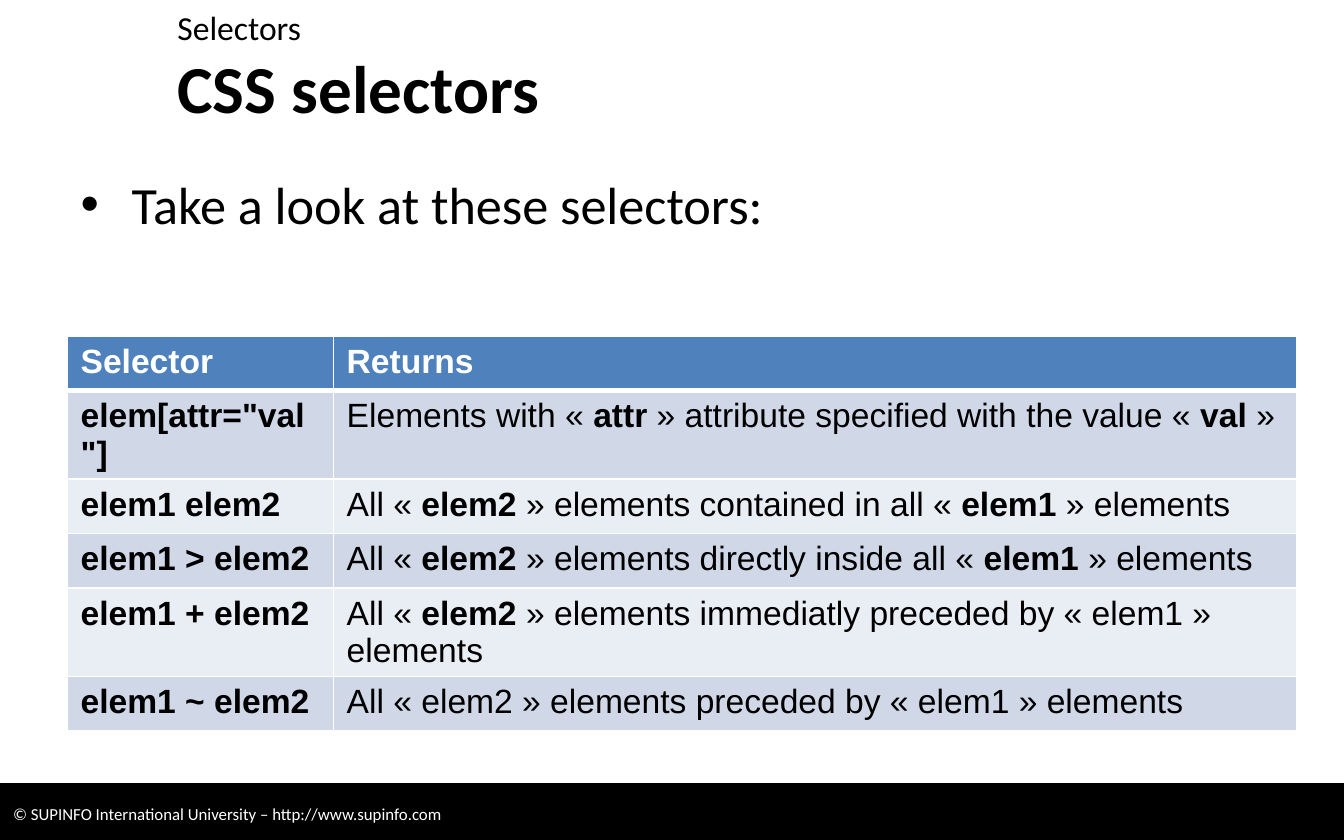
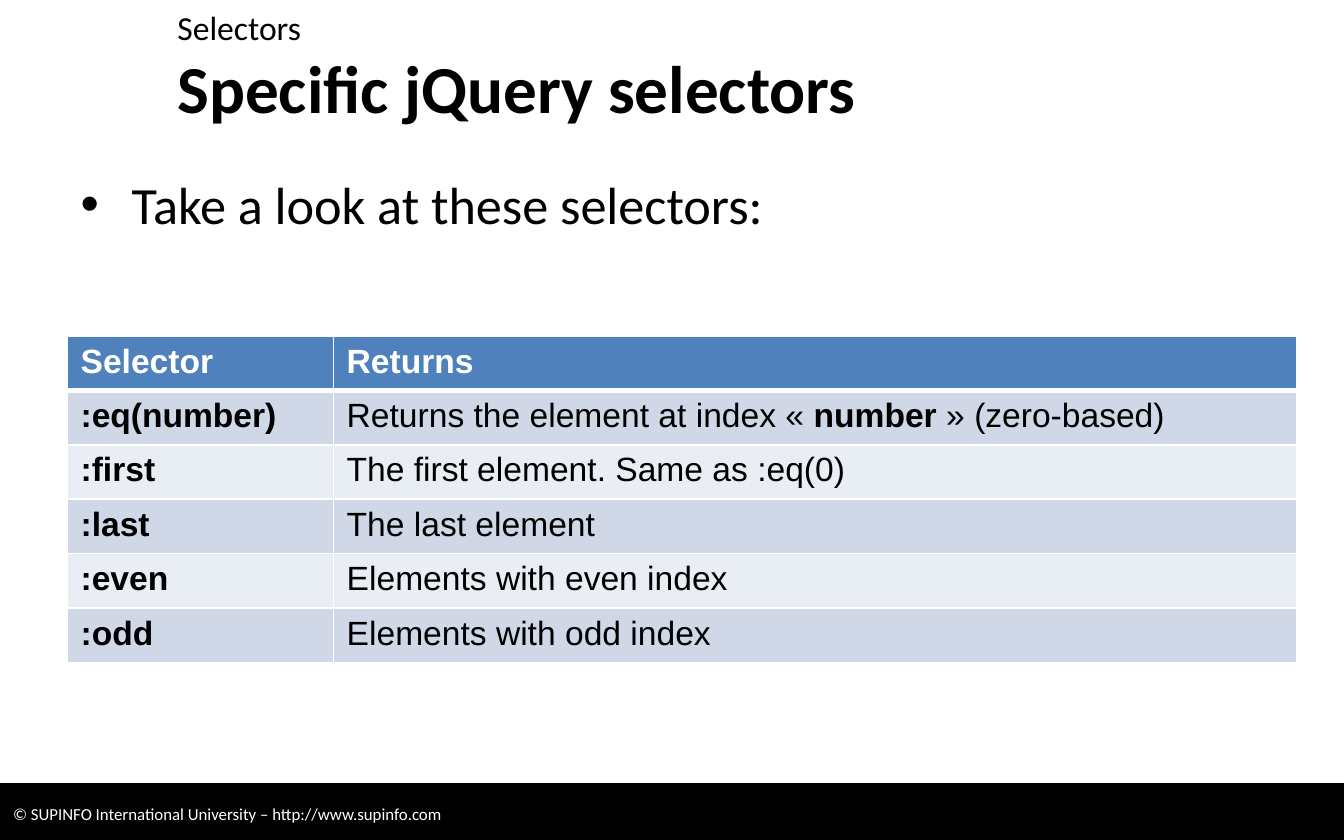
"""Build two slides that list CSS and jQuery selectors in tables."""
from dataclasses import dataclass

from lxml import etree
from pptx import Presentation
from pptx.dml.color import RGBColor
from pptx.enum import shapes, text
from pptx.oxml import ns
from pptx.util import Inches, Pt

CHAPTER = "Selectors"
INTRO = "Take a look at these selectors:"
COPYRIGHT = "© SUPINFO International University – http://www.supinfo.com"
HEADINGS = ("Selector", "Returns")
TOPICS = [
    ("CSS selectors", [
        ('elem[attr="val"]',
         "Elements with « **attr** » attribute specified with the value « **val** »"),
        ("elem1 elem2",
         "All « **elem2** » elements contained in all « **elem1** » elements"),
        ("elem1 > elem2",
         "All « **elem2** » elements directly inside all « **elem1** » elements"),
        ("elem1 + elem2",
         "All « **elem2** » elements immediatly preceded by « elem1 » elements"),
        ("elem1 ~ elem2",
         "All « elem2 » elements preceded by « elem1 » elements"),
    ]),
    ("Specific jQuery selectors", [
        (":eq(number)", "Returns the element at index « **number** » (zero-based)"),
        (":first", "The first element. Same as :eq(0)"),
        (":last", "The last element"),
        (":even", "Elements with even index"),
        (":odd", "Elements with odd index"),
    ]),
]


@dataclass(frozen=True)
class Theme:
    black: str = "000000"
    white: str = "FFFFFF"
    header: str = "4F81BD"
    stripes: tuple = ("D0D8E8", "E9EDF4")
    slide_font: str = "Calibri"
    table_font: str = "Arial"
    title_size: int = 36
    intro_size: int = 28
    small_size: int = 18
    footer_size: int = 9
    rule: int = 1
    header_rule: int = 3


THEME = Theme()
TITLE_BOX = (1.22, 0.37, 8.51, 0.55)
CHAPTER_BOX = (1.22, 0, 8.51, 0.37)
INTRO_BOX = (0.5, 1.23, 9.23, 4.63)
TABLE_BOX = (0.5, 2.5, 9.15, 2.43)
FOOTER_BOX = (0, 5.83, 10, 0.45)
COLUMN_WIDTHS = (1.98, 7.17)
INTRO_INDENT = 0.38


def add_run(paragraph, words, size, color, font=THEME.slide_font, bold=False):
    run = paragraph.add_run()
    run.text = words
    run.font.size = Pt(size)
    run.font.name = font
    run.font.bold = bold
    run.font.color.rgb = RGBColor.from_string(color)


def fill_placeholder(holder, box, words, size, anchor, bold=False):
    holder.left, holder.top, holder.width, holder.height = map(Inches, box)
    frame = holder.text_frame
    frame.auto_size = text.MSO_AUTO_SIZE.NONE
    frame.word_wrap = True
    frame.vertical_anchor = anchor
    paragraph = frame.paragraphs[0]
    paragraph.alignment = text.PP_ALIGN.LEFT
    paragraph.space_before = Pt(0)
    add_run(paragraph, words, size, THEME.black, bold=bold)
    return paragraph


def add_bullet(paragraph):
    properties = paragraph._p.get_or_add_pPr()
    properties.set("marL", str(Inches(INTRO_INDENT)))
    properties.set("indent", str(-Inches(INTRO_INDENT)))
    etree.SubElement(properties, ns.qn("a:buFont"), typeface="Arial")
    etree.SubElement(properties, ns.qn("a:buChar"), char="•")


def add_footer(slide):
    footer = slide.shapes.add_shape(shapes.MSO_SHAPE.RECTANGLE, *map(Inches, FOOTER_BOX))
    footer.shadow.inherit = False
    footer.fill.solid()
    footer.fill.fore_color.rgb = RGBColor.from_string(THEME.black)
    footer.line.color.rgb = RGBColor.from_string(THEME.black)
    footer.line.width = Pt(0.75)
    footer.text_frame.vertical_anchor = text.MSO_ANCHOR.MIDDLE
    paragraph = footer.text_frame.paragraphs[0]
    paragraph.alignment = text.PP_ALIGN.LEFT
    add_run(paragraph, COPYRIGHT, THEME.footer_size, THEME.white)


def set_borders(cell, top, bottom):
    properties = cell._tc.get_or_add_tcPr()
    widths = {"lnL": THEME.rule, "lnR": THEME.rule, "lnT": top, "lnB": bottom}
    for side, width in widths.items():
        border = etree.SubElement(properties, ns.qn(f"a:{side}"), w=str(Pt(width)))
        fill = etree.SubElement(border, ns.qn("a:solidFill"))
        etree.SubElement(fill, ns.qn("a:srgbClr"), val=THEME.white)


def add_selector_table(slide, selectors):
    rows = [HEADINGS, *selectors]
    table = slide.shapes.add_table(
        len(rows), len(HEADINGS), *map(Inches, TABLE_BOX)).table
    for column, width in zip(table.columns, COLUMN_WIDTHS):
        column.width = Inches(width)
    for r, row in enumerate(rows):
        is_header = r == 0
        background = THEME.header if is_header else THEME.stripes[(r - 1) % 2]
        ink = THEME.white if is_header else THEME.black
        top = THEME.header_rule if r == 1 else THEME.rule
        bottom = THEME.header_rule if is_header else THEME.rule
        for c, words in enumerate(row):
            cell = table.cell(r, c)
            set_borders(cell, top, bottom)
            cell.fill.solid()
            cell.fill.fore_color.rgb = RGBColor.from_string(background)
            for i, part in enumerate(words.split("**")):
                add_run(cell.text_frame.paragraphs[0], part, THEME.small_size, ink,
                        THEME.table_font, is_header or c == 0 or i % 2 == 1)


def add_topic(deck, title, selectors):
    slide = deck.slides.add_slide(deck.slide_layouts.get_by_name("Content with Caption"))
    heading, intro, chapter = slide.placeholders
    top, middle = text.MSO_ANCHOR.TOP, text.MSO_ANCHOR.MIDDLE
    fill_placeholder(heading, TITLE_BOX, title, THEME.title_size, middle, bold=True)
    fill_placeholder(chapter, CHAPTER_BOX, CHAPTER, THEME.small_size, top)
    add_bullet(fill_placeholder(intro, INTRO_BOX, INTRO, THEME.intro_size, top))
    add_selector_table(slide, selectors)
    add_footer(slide)


def main():
    deck = Presentation()
    deck.slide_width, deck.slide_height = Inches(10), Inches(6.25)
    for title, selectors in TOPICS:
        add_topic(deck, title, selectors)
    deck.save("out.pptx")


if __name__ == "__main__":
    main()
